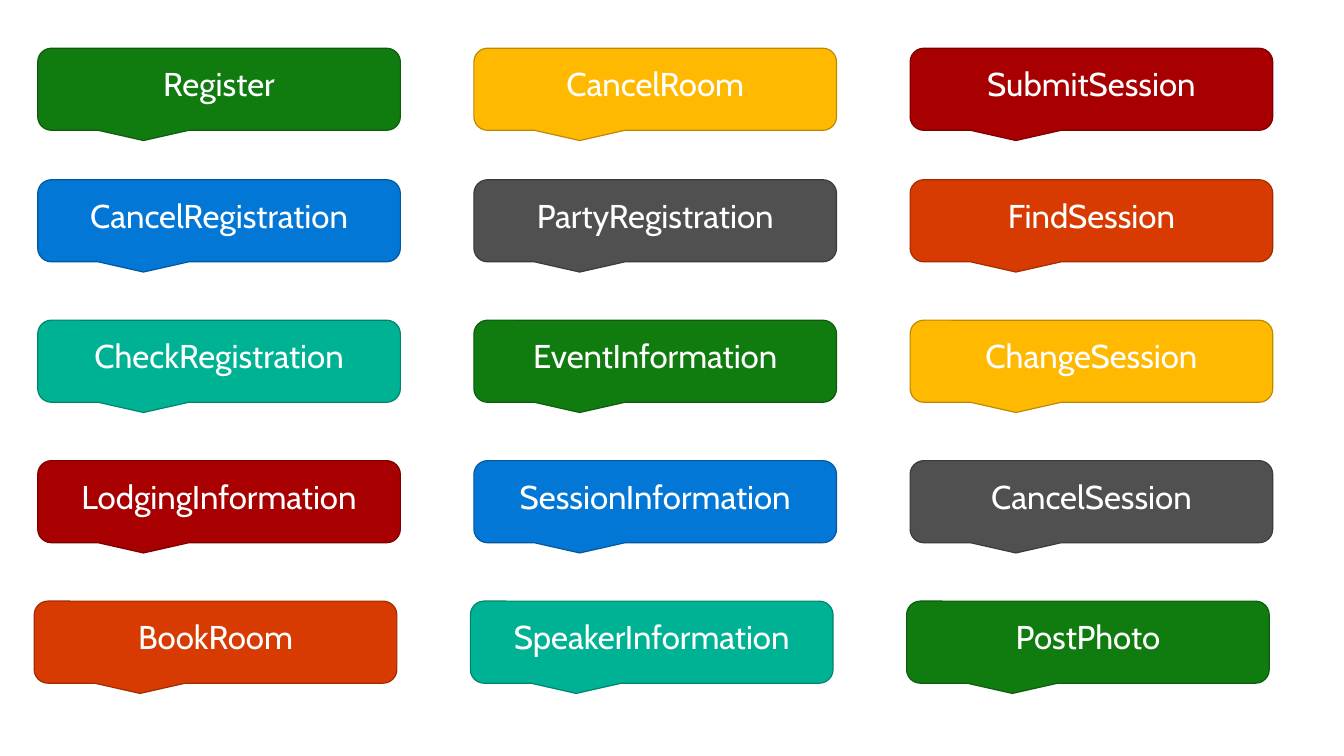
from itertools import cycle

from pptx import Presentation
from pptx.dml.color import RGBColor
from pptx.enum.shapes import MSO_SHAPE as SHAPE
from pptx.enum.text import MSO_ANCHOR as ANCHOR, PP_ALIGN as ALIGN
from pptx.util import Cm, Pt

WHITE = RGBColor(0xFF, 0xFF, 0xFF)
GREEN, DARK_GREEN = RGBColor(0x10, 0x7C, 0x10), RGBColor(0x0C, 0x5C, 0x0C)
BLUE, DARK_BLUE = RGBColor(0x03, 0x77, 0xD6), RGBColor(0x02, 0x58, 0x9E)
TEAL, DARK_TEAL = RGBColor(0x00, 0xB2, 0x94), RGBColor(0x00, 0x84, 0x6D)
RED, DARK_RED = RGBColor(0xA8, 0x00, 0x00), RGBColor(0x7C, 0x00, 0x00)
ORANGE, DARK_ORANGE = RGBColor(0xD8, 0x3B, 0x01), RGBColor(0xA0, 0x2C, 0x01)
YELLOW, DARK_YELLOW = RGBColor(0xFE, 0xB9, 0x00), RGBColor(0xBC, 0x89, 0x00)
GRAY, DARK_GRAY = RGBColor(0x50, 0x50, 0x50), RGBColor(0x3B, 0x3B, 0x3B)

PALETTE = [
    (GREEN, DARK_GREEN), (BLUE, DARK_BLUE), (TEAL, DARK_TEAL),
    (RED, DARK_RED), (ORANGE, DARK_ORANGE), (YELLOW, DARK_YELLOW),
    (GRAY, DARK_GRAY),
]
INTENT_COLUMNS = [
    ["Register", "CancelRegistration", "CheckRegistration",
     "LodgingInformation", "BookRoom"],
    ["CancelRoom", "PartyRegistration", "EventInformation",
     "SessionInformation", "SpeakerInformation"],
    ["SubmitSession", "FindSession", "ChangeSession",
     "CancelSession", "PostPhoto"],
]
CALLOUT_W, CALLOUT_H = Cm(9.32), Cm(2.11)
COLUMN_PITCH = Cm(11.21)
FIRST_ROW_PITCH, ROW_PITCH = Cm(3.38), Cm(3.61)
LAST_ROW_SHIFT = Cm(-0.09)


def add_callout(slide, left, top, width, height, intent, fill, outline):
    sp = slide.shapes.add_shape(SHAPE.ROUNDED_RECTANGULAR_CALLOUT,
                                left, top, width, height)
    sp.shadow.inherit = False
    sp.fill.solid()
    sp.fill.fore_color.rgb = fill
    sp.line.color.rgb = outline
    sp.line.width = Pt(0.85)
    tf = sp.text_frame
    tf.word_wrap = True
    tf.vertical_anchor = ANCHOR.TOP
    tf.margin_left = tf.margin_right = Cm(0.51)
    tf.margin_top = tf.margin_bottom = Cm(0.41)
    p = tf.paragraphs[0]
    p.alignment = ALIGN.CENTER
    p.line_spacing = 0.9
    r = p.add_run()
    r.text = intent
    r.font.name = "Cabin"
    r.font.size = Pt(24)
    r.font.color.rgb = WHITE


def add_intent_grid(slide, left, top):
    """Fill the grid column by column, cycling through the palette."""
    colors = cycle(PALETTE)
    for col, intents in enumerate(INTENT_COLUMNS):
        for row, intent in enumerate(intents):
            x = left + col * COLUMN_PITCH
            y = top
            if row > 0:
                y += FIRST_ROW_PITCH + (row - 1) * ROW_PITCH
            if row == len(intents) - 1:
                x += LAST_ROW_SHIFT
            fill, outline = next(colors)
            add_callout(slide, x, y, CALLOUT_W, CALLOUT_H,
                        intent, fill, outline)


def main():
    prs = Presentation()
    prs.slide_width, prs.slide_height = Cm(34.54), Cm(19.43)
    blank_layout = prs.slide_layouts[6]
    s = prs.slides.add_slide(blank_layout)
    add_intent_grid(s, Cm(0.97), Cm(1.24))
    prs.save("out.pptx")


if __name__ == "__main__":
    main()
